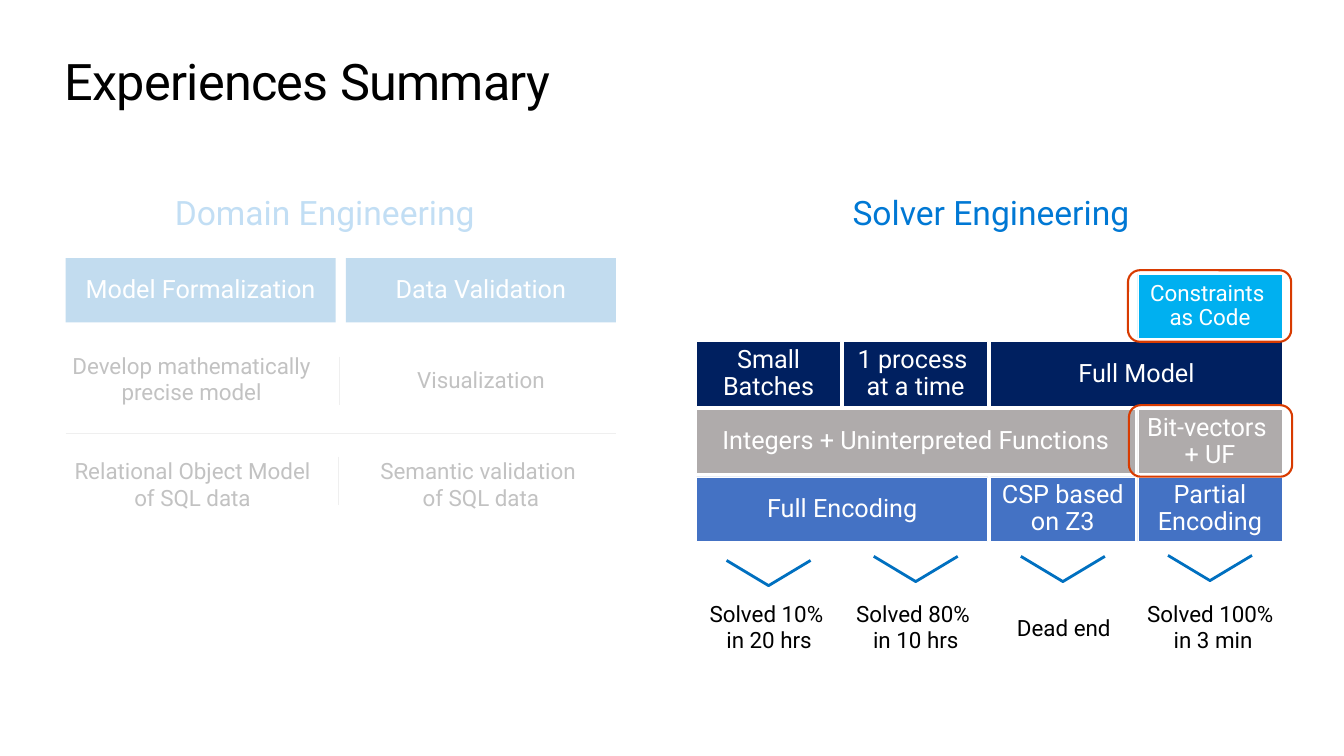
"""Build the Experiences Summary slide."""
from lxml import etree
from pptx import Presentation
from pptx.dml.color import RGBColor
from pptx.enum.shapes import MSO_CONNECTOR, MSO_SHAPE
from pptx.enum.text import MSO_ANCHOR, MSO_AUTO_SIZE, PP_ALIGN
from pptx.oxml.ns import qn
from pptx.util import Pt

RECT, ROUND = MSO_SHAPE.RECTANGLE, MSO_SHAPE.ROUNDED_RECTANGLE
LEFT, CENTER = PP_ALIGN.LEFT, PP_ALIGN.CENTER
MIDDLE, GROW = MSO_ANCHOR.MIDDLE, MSO_AUTO_SIZE.SHAPE_TO_FIT_TEXT
STRAIGHT = MSO_CONNECTOR.STRAIGHT
FONT = "Roboto"
BLACK = RGBColor(0x00, 0x00, 0x00)
WHITE = RGBColor(0xFF, 0xFF, 0xFF)
BLUE = RGBColor(0x00, 0x70, 0xC0)
AZURE = RGBColor(0x00, 0x78, 0xD4)
NAVY = RGBColor(0x00, 0x20, 0x60)
SKY = RGBColor(0x00, 0xB0, 0xF0)
STEEL = RGBColor(0x44, 0x72, 0xC4)
GRAY = RGBColor(0xAF, 0xAB, 0xAB)
SILVER = RGBColor(0xBF, 0xBF, 0xBF)
ORANGE = RGBColor(0xD8, 0x3B, 0x01)

TITLE = "Experiences Summary"
HEADS = [("Domain Engineering", 92.2, 279.4), ("Solver Engineering", 499, 417.6)]
TOPICS = ["Model Formalization", "Data Validation"]
NOTES = [
    ("Develop mathematically precise model", 40.3, 247.7, 46),
    ("Visualization", 247, 257.8, 26.6),
    ("Relational Object Model of SQL data", 41, 323.3, 46),
    ("Semantic validation \nof SQL data", 247, 323.3, 46),
]
RULES = [(46.8, 309.6, 439.9, 309.6), (242.6, 254.9, 242.6, 289.4),
         (241.9, 326.2, 241.9, 360.7)]
BLOCKS = [
    ("Constraints \nas Code", 0, 3, 1, SKY, 16),
    ("Small Batches", 1, 0, 1, NAVY, 18),
    ("1 process \nat a time", 1, 1, 1, NAVY, 18),
    ("Full Model", 1, 2, 2, NAVY, 18),
    ("Integers + Uninterpreted Functions", 2, 0, 3, GRAY, 18),
    ("Bit-vectors \n+ UF", 2, 3, 1, GRAY, 18),
    ("Full Encoding", 3, 0, 2, STEEL, 18),
    ("CSP based on Z3", 3, 2, 1, STEEL, 18),
    ("Partial Encoding", 3, 3, 1, STEEL, 18),
]
RESULTS = [
    ("Solved 10% \vin 20 hrs", 499, 424.8, 100.8, 46, 400.3),
    ("Solved 80% \vin 10 hrs", 604.1, 424.8, 100.1, 46, 397.4),
    ("Dead end", 714.2, 434.9, 91.4, 26.6, 397.4),
    ("Solved 100% \vin 3 min", 810.7, 424.8, 111.6, 46, 396.7),
]
RINGS = [(805.7, 193), (806.4, 289.4)]
GRID_X, GRID_Y, STEP_X, STEP_Y, GAP = 497.5, 195.8, 105.1, 48.3, 2.1
HIGH = 46


def write(frame, text, size, color, align=CENTER, space=None):
    for row, line in enumerate(text.split("\n")):
        para = frame.paragraphs[0] if row == 0 else frame.add_paragraph()
        para.alignment = align
        if space:
            para.line_spacing = space
        for part, words in enumerate(line.split("\v")):
            if part:
                para.add_line_break()
            run = para.add_run()
            run.text = words
            run.font.name, run.font.size = FONT, Pt(size)
            run.font.color.rgb = color


def clear(frame):
    frame.margin_left = frame.margin_right = 0
    frame.margin_top = frame.margin_bottom = 0


def label(slide, text, x, y, w, h, size, color, align=CENTER):
    box = slide.shapes.add_textbox(Pt(x), Pt(y), Pt(w), Pt(h))
    frame = box.text_frame
    frame.word_wrap, frame.auto_size = True, GROW
    write(frame, text, size, color, align)
    return frame


def form(slide, kind, x, y, w, h, fill=None, line=None, weight=0.5):
    shape = slide.shapes.add_shape(kind, Pt(x), Pt(y), Pt(w), Pt(h))
    shape.shadow.inherit = False
    if fill is None:
        shape.fill.background()
    else:
        shape.fill.solid()
        shape.fill.fore_color.rgb = fill
    if line is None:
        shape.line.fill.background()
    else:
        shape.line.color.rgb, shape.line.width = line, Pt(weight)
    return shape


def block(slide, text, x, y, w, fill, size, line=None):
    frame = form(slide, RECT, x, y, w, HIGH, fill, line).text_frame
    clear(frame)
    frame.word_wrap, frame.vertical_anchor = True, MIDDLE
    write(frame, text, size, WHITE, space=0.9)


def arrow(slide, mid, top):
    pen = slide.shapes.build_freeform(Pt(mid - 30), Pt(top))
    pen.add_line_segments([(Pt(mid), Pt(top + 18)), (Pt(mid + 30), Pt(top))], close=False)
    shape = pen.convert_to_shape()
    shape.shadow.inherit = False
    shape.fill.background()
    shape.line.color.rgb, shape.line.width = BLUE, Pt(2)


def domain(slide):
    for col, text in enumerate(TOPICS):
        block(slide, text, 46.8 + col * 200.2, 184.3, 193, BLUE, 18)
    for text, x, y, h in NOTES:
        label(slide, text, x, y, 193, h, 16, BLACK)
    for ends in RULES:
        rule = slide.shapes.add_connector(STRAIGHT, *map(Pt, ends))
        rule.line.color.rgb, rule.line.width = SILVER, Pt(0.75)
        etree.SubElement(rule.line._get_or_add_ln().getparent(), qn("a:effectLst"))


def solver(slide):
    for text, row, col, span, fill, size in BLOCKS:
        block(slide, text, GRID_X + col * STEP_X, GRID_Y + row * STEP_Y,
              span * STEP_X - GAP, fill, size, WHITE)
    for col, (text, x, y, w, h, top) in enumerate(RESULTS):
        arrow(slide, GRID_X + col * STEP_X + (STEP_X - GAP) / 2, top)
        label(slide, text, x, y, w, h, 16, BLACK)
    for x, y in RINGS:
        form(slide, ROUND, x, y, 116.6, 51.1, line=ORANGE, weight=1.5)


def main():
    deck = Presentation()
    deck.slide_width, deck.slide_height = Pt(960), Pt(540)
    slide = deck.slides.add_slide(deck.slide_layouts[6])
    frame = label(slide, TITLE, 46, 36, 867.6, 44, 36, BLACK, LEFT)
    clear(frame)
    frame.paragraphs[0].runs[0].font._element.set("spc", "-50")
    for text, x, w in HEADS:
        label(slide, text, x, 133.2, w, 36, 24, AZURE)
    domain(slide)
    solver(slide)
    veil = form(slide, RECT, 25.2, 96.5, 458.6, 391.7, WHITE)
    tint = veil.fill._xPr.find(qn("a:solidFill"))[0]
    etree.SubElement(tint, qn("a:alpha")).set("val", "76000")
    deck.save("out.pptx")


if __name__ == "__main__":
    main()
